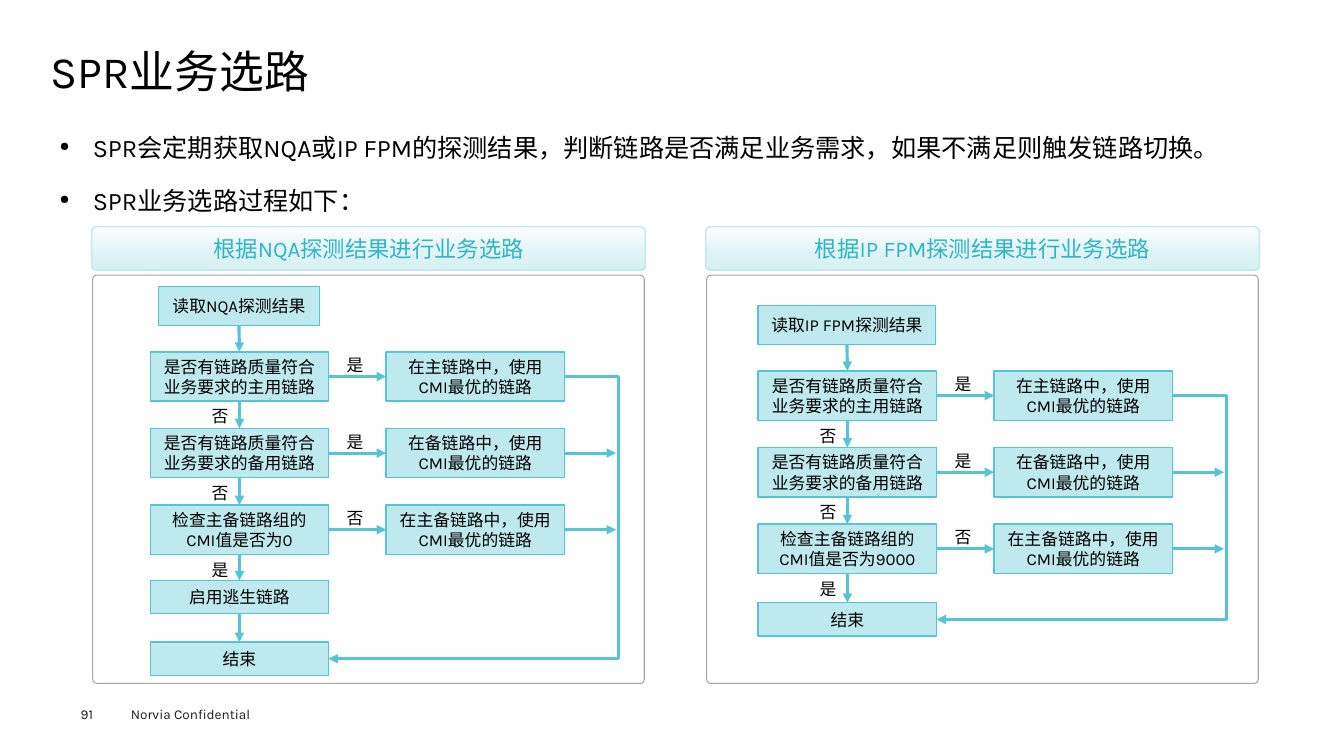
from lxml import etree
from pptx import Presentation
from pptx.dml.color import RGBColor
from pptx.enum.shapes import MSO_CONNECTOR, MSO_SHAPE
from pptx.enum.text import MSO_ANCHOR, PP_ALIGN
from pptx.oxml.ns import qn
from pptx.util import Pt

RECT, ROUND = MSO_SHAPE.RECTANGLE, MSO_SHAPE.ROUNDED_RECTANGLE
STRAIGHT, ELBOW = MSO_CONNECTOR.STRAIGHT, MSO_CONNECTOR.ELBOW
TOP, MIDDLE = MSO_ANCHOR.TOP, MSO_ANCHOR.MIDDLE
LEFT, CENTER, JUSTIFY = PP_ALIGN.LEFT, PP_ALIGN.CENTER, PP_ALIGN.JUSTIFY

BLACK = RGBColor(0x00, 0x00, 0x00)
WHITE = RGBColor(0xFF, 0xFF, 0xFF)
FOOTER = RGBColor(0x1D, 0x1D, 0x1B)
GRAY = RGBColor(0xA6, 0xA6, 0xA6)
PALE = RGBColor(0xBE, 0xE9, 0xEE)
TEAL = RGBColor(0x56, 0xC4, 0xD2)
HEADING = RGBColor(0x30, 0xB5, 0xC5)

FONT = "Karla"
PX = 9144  # EMU per px, 100 px to the inch

# Flow chart measures
STEP_W, STEP_H, ROW_GAP, TAIL_H = 177, 49, 76, 33
START_H, START_RISE, ACTION_DX = 39, 65, 234

CHECKS = ["是否有链路质量符合业务要求的主用链路", "是否有链路质量符合业务要求的备用链路"]
ACTIONS = ["在主链路中，使用CMI最优的链路", "在备链路中，使用CMI最优的链路",
           "在主备链路中，使用CMI最优的链路"]
SIDE_ANSWERS = ["是", "是", "否"]
DOWN_ANSWERS = ["否", "否", "是"]


def px(*values):
    return [v * PX for v in values]


def set_text(tf, lines, size, color, align=LEFT, anchor=TOP, inset=None):
    tf.text = "\n".join(lines)
    tf.vertical_anchor = anchor
    if inset is not None:
        tf.margin_left = tf.margin_right = inset[0] * PX
        tf.margin_top = tf.margin_bottom = inset[1] * PX
    for p in tf.paragraphs:
        p.alignment = align
        for r in p.runs:
            r.font.size, r.font.name = Pt(size), FONT
            r.font.color.rgb = color
            etree.SubElement(r.font._element, qn("a:ea"), typeface=FONT)


def add_text(slide, box, lines, size, color, wrap=True, **style):
    tf = slide.shapes.add_textbox(*px(*box)).text_frame
    tf.word_wrap = wrap
    set_text(tf, lines, size, color, **style)
    return tf


def add_box(slide, kind, box, line, width):
    s = slide.shapes.add_shape(kind, *px(*box))
    s.shadow.inherit = False
    s.line.color.rgb = line
    s.line.width = Pt(width)
    return s


def add_step(slide, box, text):
    s = add_box(slide, RECT, box, TEAL, 1)
    s.fill.solid()
    s.fill.fore_color.rgb = PALE
    set_text(s.text_frame, [text], 12, BLACK, CENTER, MIDDLE)
    return s


def add_arrow(slide, kind, start, site, end, end_site=None):
    """Arrow from a side of start to a side of end, or to a point (x, y)."""
    c = slide.shapes.add_connector(kind, 0, 0, 0, 0)
    c.begin_connect(start, site)
    if end_site is None:
        c.end_x, c.end_y = end
    else:
        c.end_connect(end, end_site)
    c.line.color.rgb = TEAL
    c.line.width = Pt(2.25)
    etree.SubElement(c.line._get_or_add_ln(), qn("a:tailEnd"), type="triangle")
    etree.SubElement(c._element.spPr, qn("a:effectLst"))
    return c


def add_heading(slide, box):
    # Title
    tf = add_text(slide, box, ["SPR业务选路"], 32, BLACK, inset=(0, 0))
    tf.paragraphs[0].line_spacing = 0.9


def add_bullets(slide, box):
    lines = ["SPR会定期获取NQA或IP FPM的探测结果，判断链路是否满足业务需求，如果不满足则触发链路切换。",
             "SPR业务选路过程如下："]
    tf = add_text(slide, box, lines, 18, BLACK, align=JUSTIFY, inset=(9, 4))
    for i, p in enumerate(tf.paragraphs):
        pPr = p._p.get_or_add_pPr()
        pPr.set("marL", str(33 * PX))
        pPr.set("indent", str(-33 * PX))
        etree.SubElement(pPr, qn("a:buSzPct"), val="50000")
        etree.SubElement(pPr, qn("a:buChar"), char="●")
        p.line_spacing = 1.4
        if i:
            p.space_before = Pt(7.9)


def add_panel(slide, box, title):
    x, y, w, h = box
    # Frame
    frame = add_box(slide, ROUND, box, GRAY, 0.75)
    frame.adjustments[0] = 0.01
    frame.fill.background()
    # Header bar, white fading into translucent teal
    bar = add_box(slide, ROUND, (x - 1, y - 48, w + 2, 43), PALE, 1)
    bar.adjustments[0] = 0.11
    bar.fill.gradient()
    bar.fill.gradient_angle = 270
    for stop, color, position in zip(bar.fill.gradient_stops, (WHITE, PALE), (0, 1)):
        stop.color.rgb, stop.position = color, position
    last = bar._element.spPr.find(qn("a:gradFill")).findall(".//" + qn("a:srgbClr"))[-1]
    etree.SubElement(last, qn("a:alpha"), val="60000")
    set_text(bar.text_frame, [title], 16, HEADING, CENTER, MIDDLE, (0, 0))


def add_flow(slide, x, y, start, start_w, last_check, tails):
    """Flow chart with its first check at x, y; tails are (text, offset from y)."""
    # Main column
    column = [add_step(slide, (x + (STEP_W - start_w) // 2, y - START_RISE, start_w, START_H), start)]
    checks = [add_step(slide, (x, y + i * ROW_GAP, STEP_W, STEP_H), text)
              for i, text in enumerate(CHECKS + [last_check])]
    column += checks
    column += [add_step(slide, (x, y + dy, STEP_W, TAIL_H), text) for text, dy in tails]
    for upper, lower in zip(column, column[1:]):
        add_arrow(slide, STRAIGHT, upper, 2, lower, 0)

    # Actions with their answers
    bus_x = x + ACTION_DX + STEP_W + 51
    for i, check in enumerate(checks):
        top = y + i * ROW_GAP
        action = add_step(slide, (x + ACTION_DX, top, STEP_W, STEP_H), ACTIONS[i])
        add_arrow(slide, STRAIGHT, check, 3, action, 1)
        if i == 0:
            # Return line round the right side to the end step
            bus = add_arrow(slide, ELBOW, action, 3, column[-1], 3)
            av = bus._element.spPr.find(qn("a:prstGeom")).get_or_add_avLst()
            etree.SubElement(av, qn("a:gd"), name="adj1", fmla="val -22800")
        else:
            add_arrow(slide, STRAIGHT, action, 3, (bus_x * PX, action.top + action.height // 2))
        add_text(slide, (x + 185, top - 2, 37, 30), [SIDE_ANSWERS[i]], 12, BLACK, wrap=False)
        add_text(slide, (x + 51, top + STEP_H, 37, 30), [DOWN_ANSWERS[i]], 12, BLACK, wrap=False)


def add_footer(slide, x, y):
    add_text(slide, (x + 40, y, 160, 27), ["Norvia Confidential"], 9.7, FOOTER)
    add_text(slide, (x, y + 5, 55, 16), ["91"], 9.7, FOOTER, inset=(0, 0))


def main():
    prs = Presentation()
    prs.slide_width, prs.slide_height = px(1333, 750)
    slide = prs.slides.add_slide(prs.slide_layouts[6])
    add_footer(slide, 80, 695)
    add_heading(slide, (50, 49, 1235, 53))
    add_bullets(slide, (50, 115, 1235, 534))
    add_panel(slide, (92, 273, 547, 405), "根据NQA探测结果进行业务选路")
    add_flow(slide, 149, 349, "读取NQA探测结果", 160, "检查主备链路组的CMI值是否为0",
             [("启用逃生链路", 227), ("结束", 288)])
    add_panel(slide, (701, 273, 547, 405), "根据IP FPM探测结果进行业务选路")
    add_flow(slide, 752, 368, "读取IP FPM探测结果", 176, "检查主备链路组的CMI值是否为9000",
             [("结束", 230)])
    prs.save("out.pptx")


if __name__ == "__main__":
    main()
